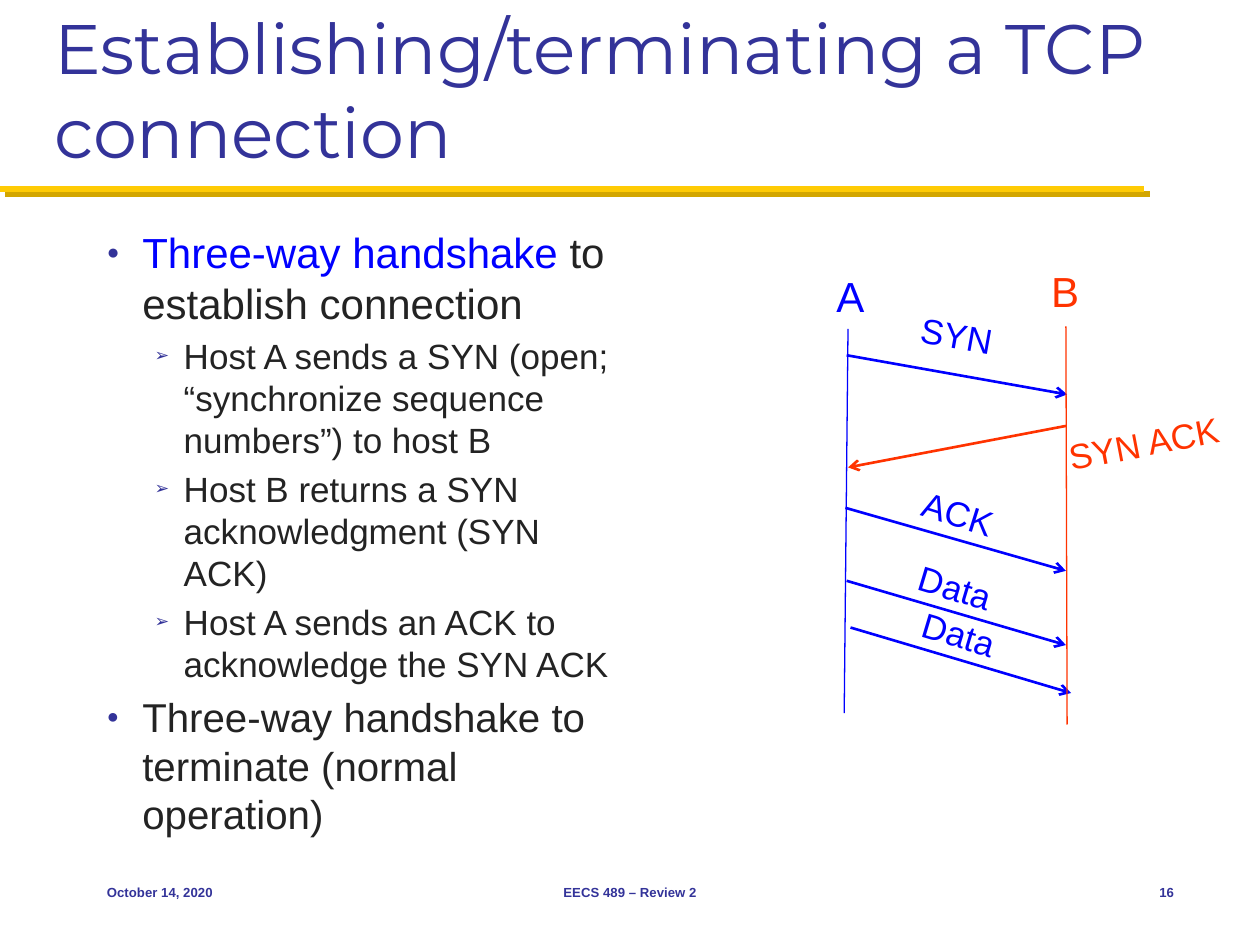
import pptx
import pptx.dml.color
import pptx.enum.shapes
import pptx.enum.text
import pptx.oxml
import pptx.oxml.ns
import pptx.util

Pt = pptx.util.Pt
RGBColor = pptx.dml.color.RGBColor
ALIGN = pptx.enum.text.PP_ALIGN
ANCHOR = pptx.enum.text.MSO_ANCHOR

NAVY = RGBColor(0x33, 0x33, 0x99)
BLUE = RGBColor(0x00, 0x00, 0xFF)
RED = RGBColor(0xFF, 0x33, 0x00)
DARK = RGBColor(0x23, 0x23, 0x23)
GOLD = RGBColor(0xFF, 0xCB, 0x05)
DARK_GOLD = RGBColor(0xD3, 0xA6, 0x00)

# Bullet character, left margin and hanging indent for each level
LEVELS = [("●", 20.25, 20.25), ("➢", 43.9, 16.6)]


def xml_element(markup):
    return pptx.oxml.parse_xml(markup.replace(">", f" {pptx.oxml.ns.nsdecls('a')}>", 1))


def format_font(font, size, color, name="Arial", bold=False):
    font.size, font.name, font.bold = Pt(size), name, bold
    font.color.rgb = color


def add_text_frame(slide, box, anchor, inset=(7.2, 3.6)):
    shape = slide.shapes.add_textbox(*map(Pt, box))
    frame = shape.text_frame
    frame.word_wrap = True
    frame.vertical_anchor = anchor
    frame.margin_left = frame.margin_right = Pt(inset[0])
    frame.margin_top = frame.margin_bottom = Pt(inset[1])
    return shape, frame


def add_line(slide, start, end, color, width, arrow=False, shadow=""):
    line = slide.shapes.add_connector(
        pptx.enum.shapes.MSO_CONNECTOR.STRAIGHT, *map(Pt, (*start, *end)))
    line.line.color.rgb = color
    line.line.width = Pt(width)
    if arrow:
        line.line._get_or_add_ln().append(xml_element('<a:tailEnd type="arrow"></a:tailEnd>'))
    line._element.spPr.append(xml_element(f"<a:effectLst>{shadow}</a:effectLst>"))


def add_label(slide, center, text, size, color, rotation=0):
    width, height = 108, 32
    box = (center[0] - width / 2, center[1] - height / 2, width, height)
    shape, frame = add_text_frame(slide, box, ANCHOR.MIDDLE, (0, 0))
    shape.rotation = rotation
    frame.text = text
    frame.paragraphs[0].alignment = ALIGN.CENTER
    format_font(frame.paragraphs[0].runs[0].font, size, color)


def add_title(slide, box, text):
    left, top, width, height = box
    # Gold rule with its offset shadow
    shadow = (f'<a:outerShdw dist="{Pt(4.2)}" dir="2700000" algn="ctr" rotWithShape="0">'
              f'<a:srgbClr val="{DARK_GOLD}"/></a:outerShdw>')
    rule_y = top + height + 6
    add_line(slide, (0, rule_y), (left + width - 42, rule_y), GOLD, 3.5, shadow=shadow)
    # Heading
    frame = add_text_frame(slide, box, ANCHOR.BOTTOM)[1]
    frame.text = text
    format_font(frame.paragraphs[0].runs[0].font, 40, NAVY, "Montserrat")


def add_bullets(slide, box, items):
    frame = add_text_frame(slide, box, ANCHOR.TOP)[1]
    for index, (level, size, runs) in enumerate(items):
        paragraph = frame.add_paragraph() if index else frame.paragraphs[0]
        paragraph.level = level
        paragraph.space_before = Pt(0.2 * size if index else 0)
        bullet, margin, hanging = LEVELS[level]
        properties = paragraph._p.get_or_add_pPr()
        properties.set("marL", str(Pt(margin)))
        properties.set("indent", str(-Pt(hanging)))
        for markup in (f'<a:buClr><a:srgbClr val="{NAVY}"/></a:buClr>',
                       '<a:buSzPct val="50000"></a:buSzPct>',
                       '<a:buFont typeface="Arial"></a:buFont>',
                       f'<a:buChar char="{bullet}"></a:buChar>'):
            properties.append(xml_element(markup))
        for text, color in runs:
            run = paragraph.add_run()
            run.text = text
            format_font(run.font, size, color)


def add_handshake(slide, box):
    left, top = box[:2]

    def at(point):
        return left + point[0], top + point[1]

    # Messages: start, end, label, label centre, rotation, colour
    messages = [
        ((13.8, 57), (139.8, 79.4), "SYN", (76.8, 45.5), 10.1, BLUE),
        ((139.1, 97.4), (14.6, 121.1), "SYN ACK", (183.5, 107), -10.9, RED),
        ((13.1, 144.2), (139.1, 180.2), "ACK", (77.6, 147.2), 17.4, BLUE),
        ((13.8, 185.9), (139.1, 222.6), "Data", (75.8, 189.5), 16.7, BLUE),
        ((16, 212.6), (142, 250), "Data", (77.9, 216.2), 16.7, BLUE),
    ]
    for start, end, text, center, rotation, color in messages:
        add_line(slide, at(start), at(end), color, 1.5, arrow=True)
        add_label(slide, at(center), text, 20, color, rotation)

    # Host timelines: start, end, name, name centre, colour
    hosts = [
        ((14.6, 41.9), (12.4, 261.5), "A", (16, 23.2), BLUE),
        ((139.1, 40.5), (139.8, 268), "B", (138.6, 20.2), RED),
    ]
    for start, end, name, center, color in hosts:
        add_line(slide, at(start), at(end), color, 0.75)
        add_label(slide, at(center), name, 24, color)


def add_footer(slide, box):
    left, top, width, height = box
    parts = [
        (0, 150, "October 14, 2020", ALIGN.LEFT),
        (192, 228, "EECS 489 – Review 2", ALIGN.CENTER),
        (width - 48, 48, "16", ALIGN.RIGHT),
    ]
    for offset, part_width, text, alignment in parts:
        part_box = (left + offset, top, part_width, height)
        frame = add_text_frame(slide, part_box, ANCHOR.MIDDLE)[1]
        frame.text = text
        frame.paragraphs[0].alignment = alignment
        format_font(frame.paragraphs[0].runs[0].font, 7.5, NAVY, bold=True)


def main():
    presentation = pptx.Presentation()
    presentation.slide_width, presentation.slide_height = Pt(720), Pt(540)
    slide = presentation.slides.add_slide(presentation.slide_layouts[6])

    add_title(slide, (24, 12, 672, 90), "Establishing/terminating a TCP connection")
    add_bullets(slide, (54, 126, 306, 348), [
        (0, 24, [("Three-way handshake", BLUE), (" to establish connection", DARK)]),
        (1, 20, [("Host A sends a SYN (open; “synchronize sequence numbers”) to host B", DARK)]),
        (1, 20, [("Host B returns a SYN acknowledgment (SYN ACK)", DARK)]),
        (1, 20, [("Host A sends an ACK to acknowledge the SYN ACK", DARK)]),
        (0, 23, [("Three-way handshake to terminate (normal operation)", DARK)]),
    ])
    add_handshake(slide, (470, 146, 240, 270))
    add_footer(slide, (54, 492, 624, 36))
    presentation.save("out.pptx")


if __name__ == "__main__":
    main()
